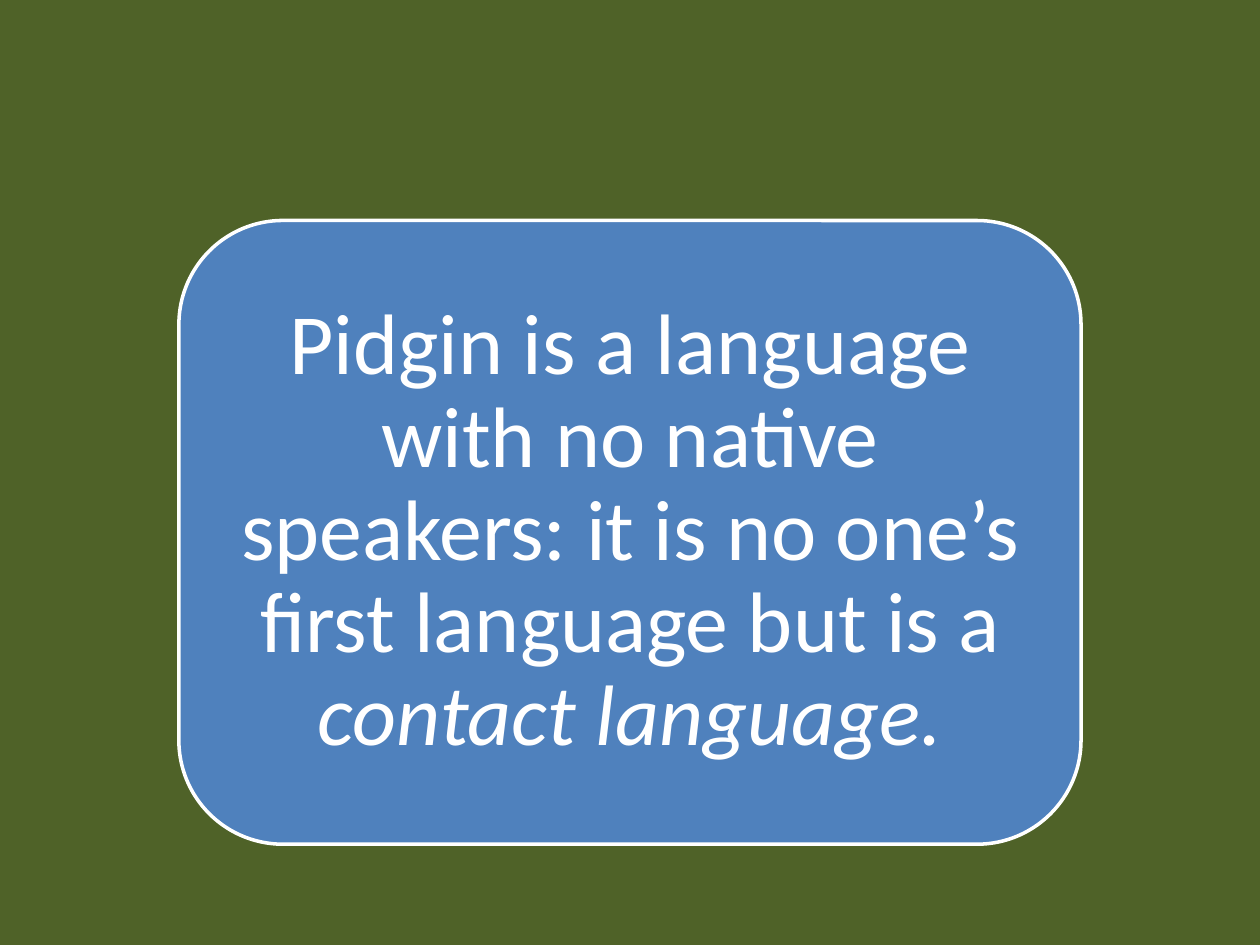
from pptx import Presentation
from pptx.dml.color import RGBColor
from pptx.enum.shapes import MSO_SHAPE as Shape
from pptx.enum.text import MSO_ANCHOR as Anchor, PP_ALIGN as Align
from pptx.util import Pt

BACKGROUND, BLUE, WHITE = "4F6228", "4F81BD", "FFFFFF"
DEFINITION = [
    ("Pidgin is a language with no native speakers: "
     "it is no one’s first language but is a ", False),
    ("contact language.", True),
]


def apply_format(target, values):
    """Set each named attribute on the target."""
    for name, value in values.items():
        setattr(target, name, value)


def paint(fill, color):
    """Give a fill one solid colour from a hex string."""
    fill.solid()
    fill.fore_color.rgb = RGBColor.from_string(color)


def add_definition_card(slide, box, runs):
    """Place a rounded card with centred text in the given box."""
    shape = slide.shapes.add_shape(Shape.ROUNDED_RECTANGLE, *map(Pt, box))
    shape.shadow.inherit = False
    paint(shape.fill, BLUE)
    paint(shape.line.fill, WHITE)
    shape.line.width = Pt(2)
    frame = shape.text_frame
    apply_format(frame, {
        "word_wrap": True, "vertical_anchor": Anchor.MIDDLE,
        "margin_left": Pt(14.4), "margin_right": Pt(14.4),
        "margin_top": Pt(7.2), "margin_bottom": Pt(7.2),
    })
    paragraph = frame.paragraphs[0]
    apply_format(paragraph, {"alignment": Align.CENTER, "line_spacing": 0.9})
    for text, italic in runs:
        run = paragraph.add_run()
        run.text = text
        apply_format(run.font, {"name": "Calibri", "size": Pt(49), "italic": italic})
        paint(run.font.fill, WHITE)


def main():
    """Build the slide and save it."""
    presentation = Presentation()
    apply_format(presentation, {"slide_width": Pt(720), "slide_height": Pt(540)})
    slide = presentation.slides.add_slide(presentation.slide_layouts[6])
    paint(slide.background.fill, BACKGROUND)
    add_definition_card(slide, (102.25, 126, 515.5, 356.4), DEFINITION)
    presentation.save("out.pptx")


if __name__ == "__main__":
    main()
